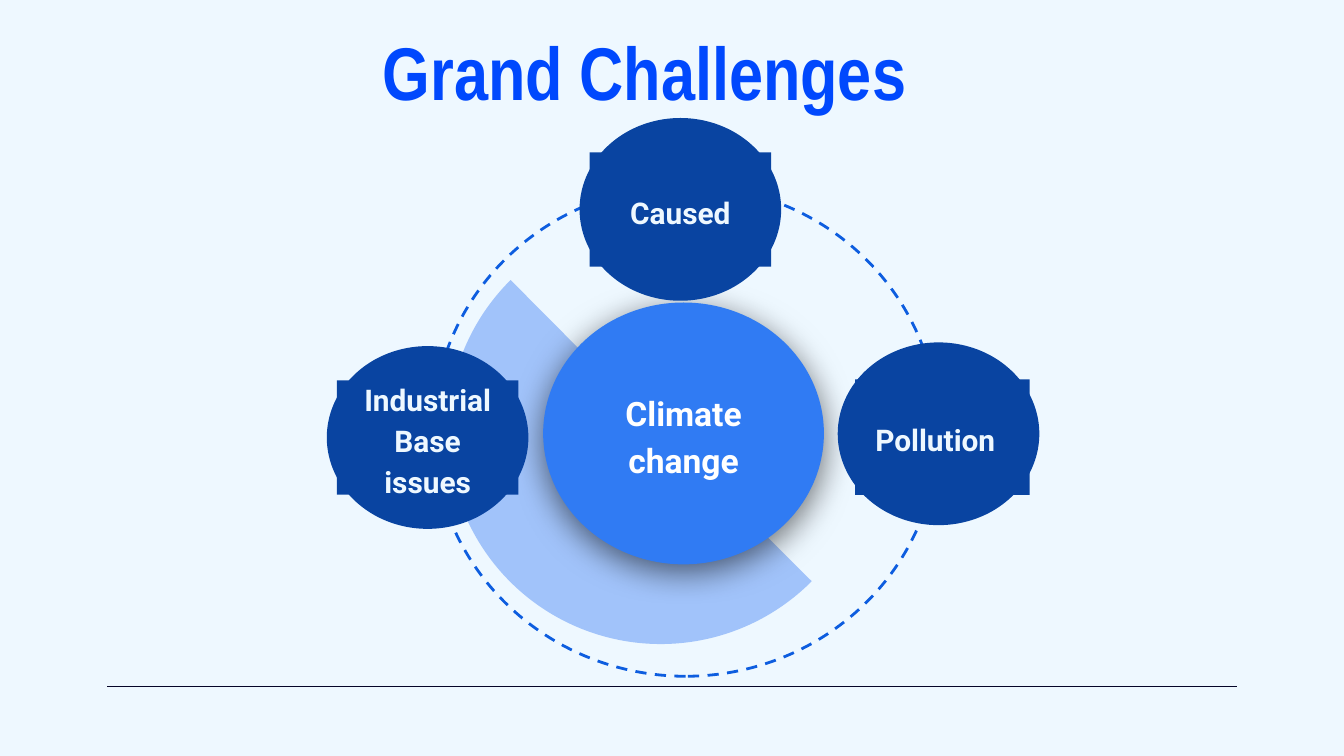
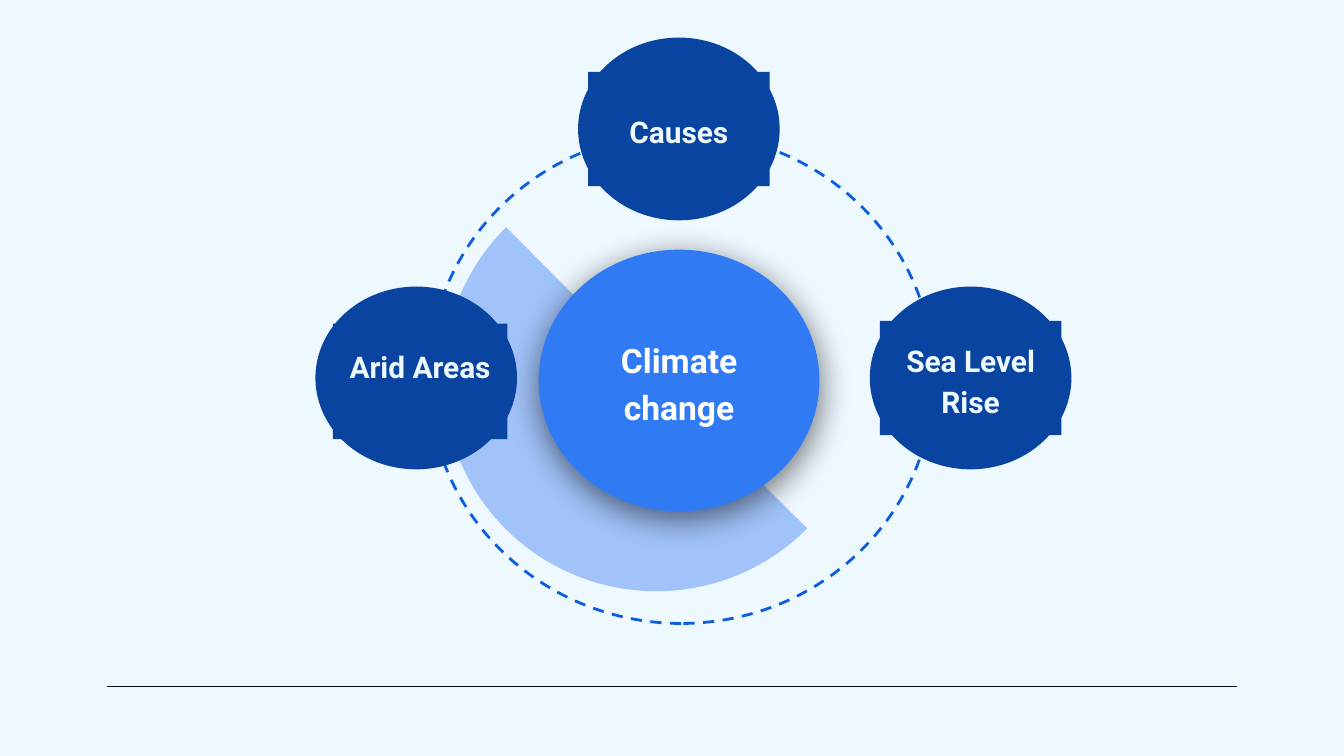
from dataclasses import dataclass
from lxml import etree
from pptx import Presentation
from pptx.dml.color import RGBColor
from pptx.enum.dml import MSO_LINE
from pptx.enum.shapes import MSO_CONNECTOR, MSO_SHAPE as SHAPE
from pptx.enum.text import MSO_ANCHOR as ANCHOR, PP_ALIGN as ALIGN
from pptx.oxml.ns import qn
from pptx.util import Pt


@dataclass(frozen=True)
class Theme:
    background: str = "EEF8FF"
    rule: str = "050528"
    ring: str = "0D5DDF"
    half_disc: str = "A1C3FA"
    hub: str = "307BF3"
    hub_text: str = "FFFFFF"
    node: str = "0944A1"
    node_text: str = "EEF8FF"
    title: str = "0048FD"
    shadow: str = "000000"
    title_font: str = "Arial Narrow"
    label_font: str = "Roboto"
    title_size: int = 40
    hub_size: int = 18
    node_size: int = 16


THEME = Theme()
INSET = 7.2
HUB_SIZE = (150.4, 140.3)
HUB_LABEL = (111.6, 64)
NODE_SIZE = (108, 97.9)
WIDE_LABEL = (97.2, 61.2)
TALL_LABEL = (93.6, 62)


def rgb(value):
    return RGBColor.from_string(value)


def add_centred(shapes, kind, centre, size, fill=None):
    (cx, cy), (w, h) = centre, size
    s = shapes.add_shape(kind, Pt(cx - w / 2), Pt(cy - h / 2), Pt(w), Pt(h))
    s.shadow.inherit = False
    s.line.fill.background()
    if fill:
        s.fill.solid()
        s.fill.fore_color.rgb = rgb(fill)
    else:
        s.fill.background()
    return s


def write(s, text, font, size, color, align, anchor, right=INSET, bottom=INSET):
    tf = s.text_frame
    tf.word_wrap = True
    tf.vertical_anchor = anchor
    tf.margin_left = tf.margin_top = Pt(INSET)
    tf.margin_right, tf.margin_bottom = Pt(right), Pt(bottom)
    tf.text = text
    p = tf.paragraphs[0]
    p.alignment = align
    f = p.runs[0].font
    f.name, f.size, f.bold = font, Pt(size), True
    f.color.rgb = rgb(color)
    return p


def add_label(shapes, text, centre, box, fill, size, color, **insets):
    s = add_centred(shapes, SHAPE.RECTANGLE, centre, box, fill)
    p = write(s, text, THEME.label_font, size, color, ALIGN.CENTER, ANCHOR.MIDDLE, **insets)
    p.line_spacing = 1.15


def cast_shadow(s):
    effects = s._element.spPr.find(qn("a:effectLst"))
    shadow = etree.SubElement(effects, qn("a:outerShdw"), blurRad=str(Pt(18)),
                              dist=str(Pt(4)), dir="5400000",
                              algn="bl", rotWithShape="0")
    color = etree.SubElement(shadow, qn("a:srgbClr"), val=THEME.shadow)
    etree.SubElement(color, qn("a:alpha"), val="55000")


def add_orbit(slide, cx, cy):
    shapes = slide.shapes.add_group_shape().shapes
    ring = add_centred(shapes, SHAPE.OVAL, (cx + 1.1, cy - 1.3), (262.8, 270.7))
    ring.rotation = 270
    ring.line.color.rgb = rgb(THEME.ring)
    ring.line.width = Pt(1.5)
    ring.line.dash_style = MSO_LINE.DASH
    pie = add_centred(shapes, SHAPE.PIE, (cx - 12.2, cy - 1.2), (228.2, 228.2),
                      THEME.half_disc)
    pie.adjustments[0], pie.adjustments[1] = 26.9, 135.11


def add_hub(slide, text, centre):
    shapes = slide.shapes.add_group_shape().shapes
    cast_shadow(add_centred(shapes, SHAPE.OVAL, centre, HUB_SIZE, THEME.hub))
    add_label(shapes, text, centre, HUB_LABEL, THEME.hub, THEME.hub_size, THEME.hub_text)


def add_node(slide, text, centre, box=WIDE_LABEL, shift=(0, 0), **insets):
    shapes = slide.shapes.add_group_shape().shapes
    add_centred(shapes, SHAPE.OVAL, centre, NODE_SIZE, THEME.node)
    label_centre = (centre[0] + shift[0], centre[1] + shift[1])
    add_label(shapes, text, label_centre, box, THEME.node, THEME.node_size,
              THEME.node_text, **insets)


def add_title(slide, text):
    s = slide.shapes.add_textbox(Pt(198), Pt(6.5), Pt(522), Pt(45.4))
    write(s, text, THEME.title_font, THEME.title_size, THEME.title, ALIGN.LEFT, ANCHOR.TOP)


def add_base(prs):
    slide = prs.slides.add_slide(prs.slide_layouts[6])
    slide.background.fill.solid()
    slide.background.fill.fore_color.rgb = rgb(THEME.background)
    rule = slide.shapes.add_connector(MSO_CONNECTOR.STRAIGHT, Pt(57.4), Pt(367.8),
                                      Pt(662.6), Pt(367.8))
    rule.line.color.rgb = rgb(THEME.rule)
    rule.line.width = Pt(0.75)
    etree.SubElement(rule._element.spPr, qn("a:effectLst"))
    return slide


def add_diagram(prs, hub_centre, nodes):
    slide = add_base(prs)
    add_orbit(slide, *hub_centre)
    add_hub(slide, "Climate change", hub_centre)
    for text, centre, options in nodes:
        add_node(slide, text, centre, **options)
    return slide


def main():
    prs = Presentation()
    prs.slide_width, prs.slide_height = Pt(720), Pt(405)
    tall = {"box": TALL_LABEL, "shift": (2.1, 1.8)}
    challenges = add_diagram(prs, (366.2, 232.2), [
        ("Industrial Base issues", (229.1, 234.4), {}),
        ("Pollution", (502.8, 232.4), {**tall, "right": 14.7}),
        ("Caused", (364.5, 112.2), {}),
    ])
    add_title(challenges, "Grand Challenges")
    add_diagram(prs, (363.8, 203.9), [
        ("Sea Level Rise", (520, 202.5), {}),
        ("Arid Areas", (223, 202.5), {**tall, "bottom": 25.7}),
        ("Causes", (363.7, 69.1), {}),
    ])
    prs.save("out.pptx")


if __name__ == "__main__":
    main()
